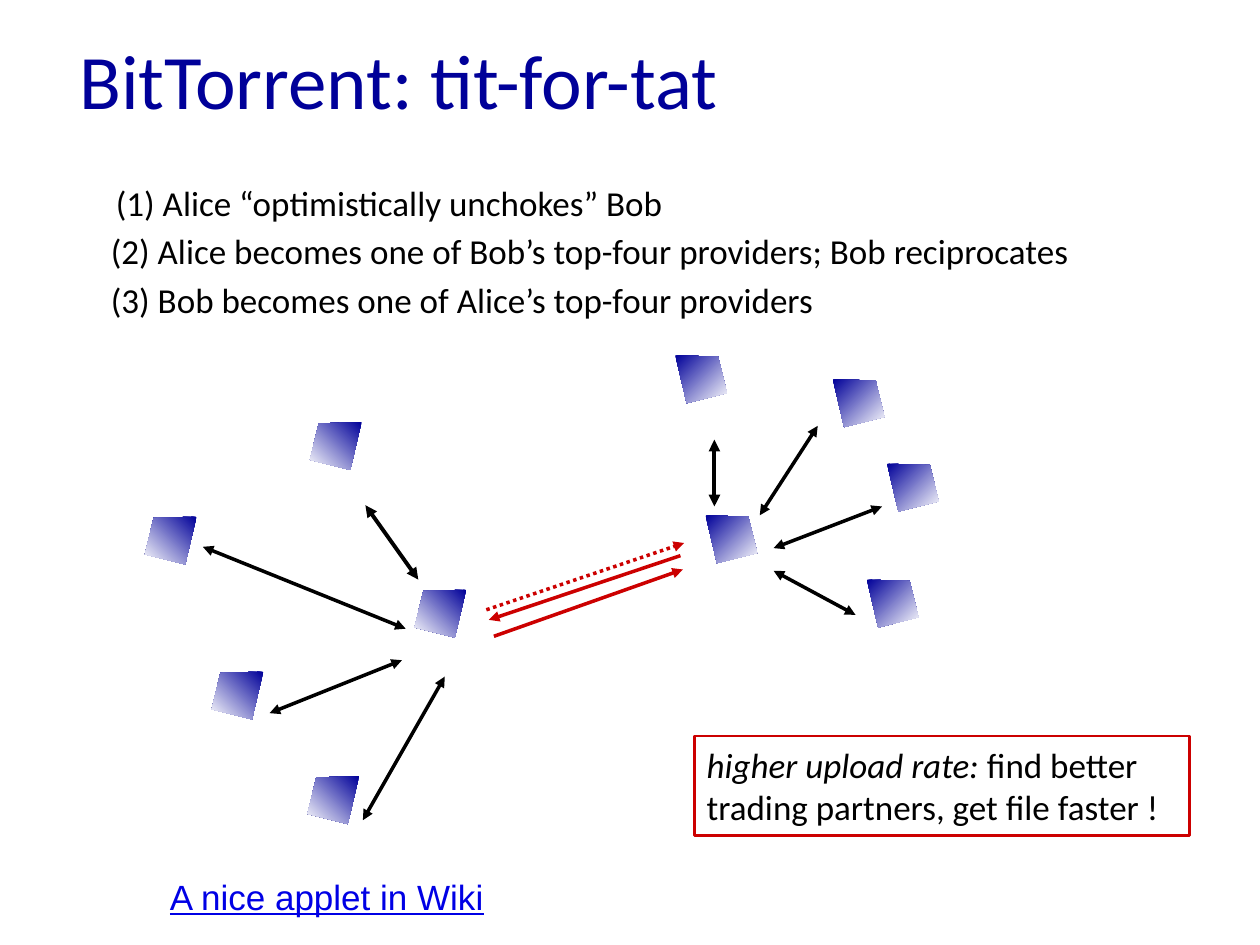
"""Build the BitTorrent tit-for-tat slide on a grid of 100 columns by 75 rows."""
import pptx
import pptx.dml.color
import pptx.enum.dml
import pptx.enum.shapes
import pptx.enum.text
import pptx.oxml.xmlchemy
import pptx.util

NAVY = pptx.dml.color.RGBColor(0x00, 0x00, 0x99)
RED = pptx.dml.color.RGBColor(0xCC, 0x00, 0x00)
BLACK = pptx.dml.color.RGBColor(0x00, 0x00, 0x00)
WHITE = pptx.dml.color.RGBColor(0xFF, 0xFF, 0xFF)
LINK_BLUE = pptx.dml.color.RGBColor(0x00, 0x00, 0xE5)

deck = pptx.Presentation()
deck.slide_width = pptx.util.Inches(10)
deck.slide_height = pptx.util.Inches(7.5)
COLUMN = deck.slide_width / 100
ROW = deck.slide_height / 75
page = deck.slides.add_slide(deck.slide_layouts[5])


def grid(*places):
    return [round(place * (ROW if index % 2 else COLUMN)) for index, place in enumerate(places)]


def add_arrow(places, color, width, both_ends, dash=None):
    arrow = page.shapes.add_connector(pptx.enum.shapes.MSO_CONNECTOR.STRAIGHT, *grid(*places))
    arrow.line.color.rgb = color
    arrow.line.width = pptx.util.Pt(width)
    if dash is not None:
        arrow.line.dash_style = dash
    outline = arrow.line._get_or_add_ln()
    for end in ["a:headEnd", "a:tailEnd"] if both_ends else ["a:tailEnd"]:
        head = pptx.oxml.xmlchemy.OxmlElement(end)
        head.set("type", "triangle")
        outline.append(head)
    arrow._element.spPr.append(pptx.oxml.xmlchemy.OxmlElement("a:effectLst"))


title = page.shapes.title
title.left, title.top, title.width, title.height = grid(5.3, 0, 85, 12.5)
title.text_frame.text = "BitTorrent: tit-for-tat"
title.text_frame.vertical_anchor = pptx.enum.text.MSO_ANCHOR.MIDDLE
para = title.text_frame.paragraphs[0]
para.alignment = pptx.enum.text.PP_ALIGN.LEFT
para.font.name = "Calibri"
para.font.size = pptx.util.Pt(44)
para.font.color.rgb = NAVY

for places in [
    (32.2, 49.9, 16.1, 43.4),
    (31.9, 52.4, 21.4, 56.6),
    (35.3, 53.7, 28.8, 65.1),
    (60.3, 40.9, 64.9, 33.8),
    (61.4, 43.5, 70, 40.2),
    (61.4, 45.3, 67.9, 48.8),
]:
    add_arrow(places, BLACK, 2, True)
for places in [(56.7, 34.9, 56.7, 40.2), (29, 40.1, 33.2, 46)]:
    add_arrow(places, BLACK, 2.25, True)
add_arrow((38.6, 48.4, 54.3, 43.1), RED, 2, False, pptx.enum.dml.MSO_LINE.ROUND_DOT)
add_arrow((54, 44.1, 38.8, 49.2), RED, 2, False)
add_arrow((39.2, 50.5, 54.2, 45.2), RED, 2, False)

for words, places, face, color, margin, underline in [
    ("(1) Alice “optimistically unchokes” Bob", (9.2, 14.4, 44, 3.3), "Calibri", BLACK, 0, None),
    ("(2) Alice becomes one of Bob’s top-four providers; Bob reciprocates",
     (8.8, 18.2, 77.7, 3.3), "Calibri", BLACK, 0, None),
    ("(3) Bob becomes one of Alice’s top-four providers", (8.8, 22.1, 57, 3.3), "Calibri", BLACK, 0, None),
    ("A nice applet in Wiki", (12.5, 69, 27.1, 4.4), "Arial", LINK_BLUE, 1, True),
]:
    box = page.shapes.add_textbox(*grid(*places))
    frame = box.text_frame
    frame.word_wrap = False
    frame.auto_size = pptx.enum.text.MSO_AUTO_SIZE.SHAPE_TO_FIT_TEXT
    frame.margin_left = frame.margin_right = round(margin * COLUMN)
    frame.margin_top = frame.margin_bottom = round(margin * ROW / 2)
    frame.text = words
    para = frame.paragraphs[0]
    para.font.name = face
    para.font.size = pptx.util.Pt(20)
    para.font.color.rgb = color
    para.font.underline = underline

callout = page.shapes.add_shape(pptx.enum.shapes.MSO_SHAPE.RECTANGLE, *grid(55.1, 58.4, 39.3, 7.9))
callout.shadow.inherit = False
callout.fill.background()
callout.line.color.rgb = RED
callout.line.width = pptx.util.Pt(1.5)
callout.text_frame.word_wrap = True
callout.text_frame.auto_size = pptx.enum.text.MSO_AUTO_SIZE.SHAPE_TO_FIT_TEXT
para = callout.text_frame.paragraphs[0]
para.alignment = pptx.enum.text.PP_ALIGN.LEFT
para.font.name = "Calibri"
para.font.size = pptx.util.Pt(20)
para.font.color.rgb = BLACK
for words, italic in [("higher upload rate:", True), (" find better trading partners, get file faster !", False)]:
    span = para.add_run()
    span.text = words
    span.font.italic = italic

PEER_OUTLINE = [(0, 0), (3.4, 0.1), (4.1, 3), (0.9, 3.8)]
ALICE_PEERS = [(20.9, 53.3), (28.5, 61.6), (15.6, 41), (37, 46.8), (28.7, 33.5)]
BOB_PEERS = [(68.8, 46), (70.4, 36.8), (66.1, 30.1), (56, 40.9), (53.6, 28.2)]
for peers, direction, angle in [(ALICE_PEERS, -1, 225), (BOB_PEERS, 1, 315)]:
    for left, top in peers:
        corners = [grid(left + direction * across, top + down) for across, down in PEER_OUTLINE]
        builder = page.shapes.build_freeform(*corners[0])
        builder.add_line_segments(corners[1:], close=True)
        peer = builder.convert_to_shape()
        peer.shadow.inherit = False
        peer.line.fill.background()
        peer.fill.gradient()
        peer.fill.gradient_angle = angle
        for stop, color in zip(peer.fill.gradient_stops, [NAVY, WHITE]):
            stop.color.rgb = color

deck.save("out.pptx")
